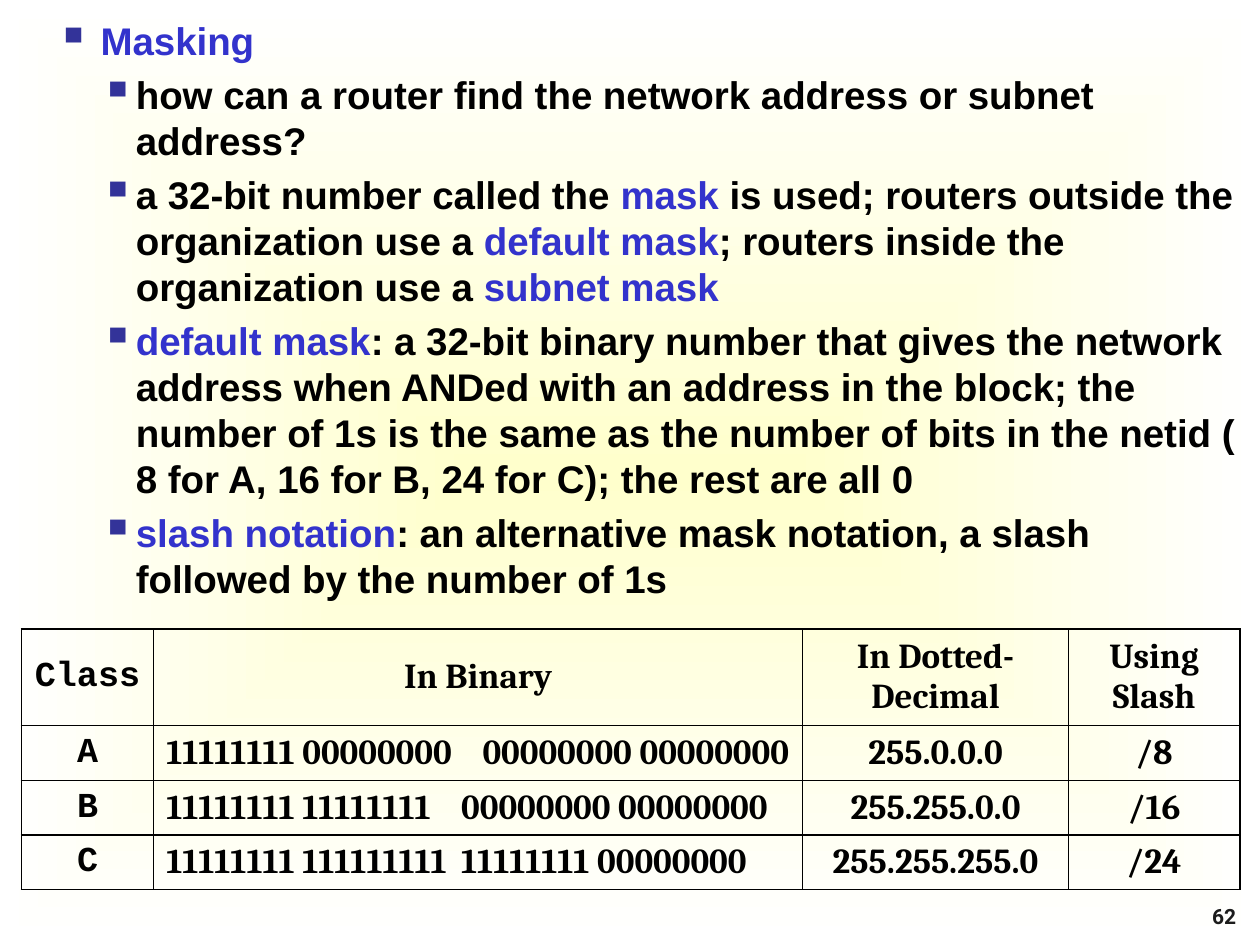
"""Build the slide on network masking with its table of default masks."""
from lxml import etree
from pptx import Presentation
from pptx.dml.color import RGBColor
from pptx.enum.text import MSO_ANCHOR, PP_ALIGN
from pptx.oxml import parse_xml
from pptx.oxml.ns import nsdecls, qn
from pptx.util import Inches, Pt

BLACK = RGBColor(0x00, 0x00, 0x00)
BLUE = RGBColor(0x33, 0x33, 0xCC)
NAVY = RGBColor(0x33, 0x33, 0x99)
CHARCOAL = RGBColor(0x1C, 0x1C, 0x1C)
CREAM = RGBColor(0xFF, 0xFF, 0xCC)
WHITE = RGBColor(0xFF, 0xFF, 0xFF)
LEFT, CENTER, RIGHT = PP_ALIGN.LEFT, PP_ALIGN.CENTER, PP_ALIGN.RIGHT
MIDDLE, BOTTOM = MSO_ANCHOR.MIDDLE, MSO_ANCHOR.BOTTOM


def write(paragraph, text, size=22, font="Arial", color=BLACK, align=LEFT):
    paragraph.alignment = align
    run = paragraph.add_run()
    run.text = text
    run.font.size = Pt(size)
    run.font.name = font
    run.font.bold = True
    run.font.color.rgb = color


def add_tab(properties, position):
    tabs = etree.SubElement(properties, qn("a:tabLst"))
    etree.SubElement(tabs, qn("a:tab"), pos=str(Inches(position)), algn="l")


presentation = Presentation()
presentation.slide_width = Inches(10)
presentation.slide_height = Inches(7.5)
slide = presentation.slides.add_slide(presentation.slide_layouts[6])

background = parse_xml(
    f'<p:bg {nsdecls("p", "a")}><p:bgPr><a:gradFill rotWithShape="0"><a:gsLst>'
    f'<a:gs pos="0"><a:srgbClr val="{CREAM}"/></a:gs>'
    f'<a:gs pos="100000"><a:srgbClr val="{WHITE}"/></a:gs></a:gsLst>'
    '<a:path path="shape"><a:fillToRect l="50000" t="50000" r="50000" b="50000"/></a:path>'
    "</a:gradFill><a:effectLst/></p:bgPr></p:bg>"
)
slide.element.cSld.insert(0, background)

number_box = slide.shapes.add_textbox(Inches(9.33), Inches(7.25), Inches(0.58), Inches(0.17))
number_box.text_frame.word_wrap = True
number_box.text_frame.vertical_anchor = BOTTOM
write(number_box.text_frame.paragraphs[0], "62", size=12, font="Roboto", color=CHARCOAL, align=RIGHT)

points = [
    [("Masking", BLUE)],
    [("how can a router find the network address or subnet address?", BLACK)],
    [
        ("a 32-bit number called the ", BLACK),
        ("mask", BLUE),
        (" is used; routers outside the organization use a ", BLACK),
        ("default mask", BLUE),
        ("; routers inside the organization use a ", BLACK),
        ("subnet mask", BLUE),
    ],
    [
        ("default mask", BLUE),
        (": a 32-bit binary number that gives the network address when ANDed with an "
         "address in the block; the number of 1s is the same as the number of bits in "
         "the netid ( 8 for A, 16 for B, 24 for C); the rest are all 0", BLACK),
    ],
    [
        ("slash notation", BLUE),
        (": an alternative mask notation, a slash followed by the number of 1s", BLACK),
    ],
]
body_box = slide.shapes.add_textbox(Inches(0.08), Inches(0.09), Inches(9.83), Inches(2.5))
body = body_box.text_frame
body.word_wrap = True
for index, pieces in enumerate(points):
    paragraph = body.add_paragraph() if index else body.paragraphs[0]
    paragraph.level = 2 if index else 1
    margin, indent = (0.9, -0.28) if index else (0.62, -0.35)
    properties = paragraph._p.get_or_add_pPr()
    properties.set("marL", str(Inches(margin)))
    properties.set("indent", str(Inches(indent)))
    bullet_color = etree.SubElement(properties, qn("a:buClr"))
    etree.SubElement(bullet_color, qn("a:srgbClr"), val=str(NAVY))
    etree.SubElement(properties, qn("a:buSzPct"), val="120000")
    etree.SubElement(properties, qn("a:buChar"), char="▪")
    add_tab(properties, 1.22)
    paragraph.line_spacing = Pt(26.3)
    if index:
        paragraph.space_before = Pt(4.5)
    for text, color in pieces:
        write(paragraph, text, color=color)

rows = [
    ("Class", "In Binary", "In Dotted-Decimal", "Using Slash"),
    ("A", "11111111 00000000\t00000000 00000000", "255.0.0.0", "/8"),
    ("B", "11111111 11111111\t00000000 00000000", "255.255.0.0", "/16"),
    ("C", "11111111 111111111\t11111111 00000000", "255.255.255.0", "/24"),
]
binary_tabs = [None, 2.51, 2.34, 2.34]
column_widths = [1.05, 5.15, 2.11, 1.36]
row_heights = [0.77, 0.43, 0.43, 0.43]
table = slide.shapes.add_table(
    len(rows), len(column_widths), Inches(0.17), Inches(4.99),
    Inches(sum(column_widths)), Inches(sum(row_heights)),
).table
table.first_row = False
table.horz_banding = False
for column, width in zip(table.columns, column_widths):
    column.width = Inches(width)
for row, height in zip(table.rows, row_heights):
    row.height = Inches(height)

for row_index, values in enumerate(rows):
    for column_index, text in enumerate(values):
        cell = table.cell(row_index, column_index)
        cell.vertical_anchor = MIDDLE
        cell_properties = cell._tc.get_or_add_tcPr()
        for side in ("lnL", "lnR", "lnT", "lnB"):
            border = etree.SubElement(cell_properties, qn(f"a:{side}"), w=str(Pt(1)))
            border_fill = etree.SubElement(border, qn("a:solidFill"))
            etree.SubElement(border_fill, qn("a:srgbClr"), val=str(BLACK))
        cell.fill.background()
        paragraph = cell.text_frame.paragraphs[0]
        is_binary = row_index > 0 and column_index == 1
        if is_binary:
            add_tab(paragraph._p.get_or_add_pPr(), binary_tabs[row_index])
        if column_index == 0:
            paragraph.space_after = Pt(3)
        write(
            paragraph, text, size=20,
            font="Cambria" if column_index else "Courier New",
            align=LEFT if is_binary else CENTER,
        )

presentation.save("out.pptx")
